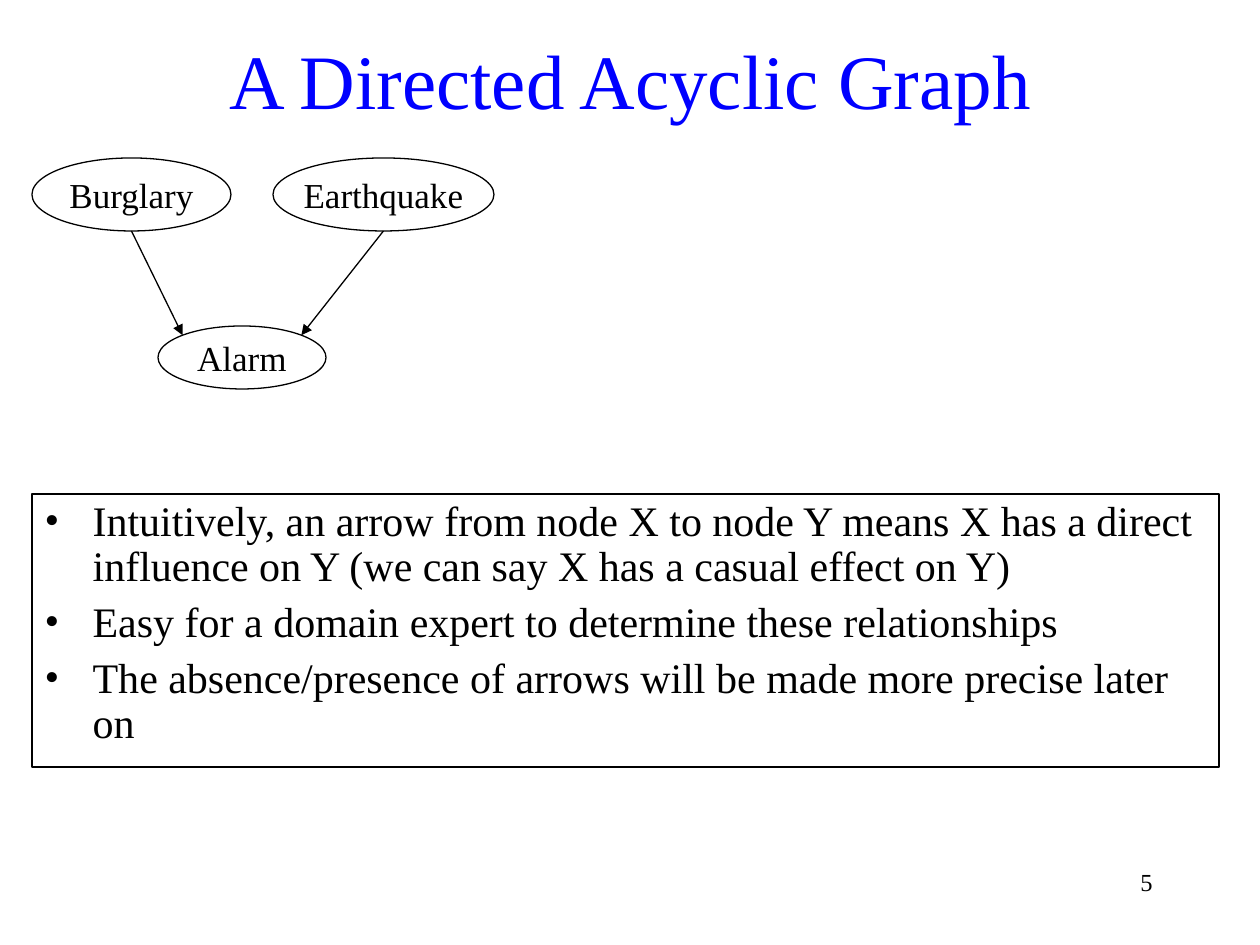
"""Build a slide that explains a directed acyclic graph."""
from math import sqrt

from lxml.etree import SubElement
from pptx import Presentation
from pptx.dml.color import RGBColor
from pptx.enum.shapes import MSO_CONNECTOR, MSO_SHAPE
from pptx.enum.text import MSO_ANCHOR, MSO_AUTO_SIZE, PP_ALIGN
from pptx.oxml.ns import qn
from pptx.util import Pt

TITLE = "A Directed Acyclic Graph"
TITLE_BOX = (95, 21, 1071, 116)
BULLETS = [
    "Intuitively, an arrow from node X to node Y means X has a direct "
    "influence on Y (we can say X has a casual effect on Y)",
    "Easy for a domain expert to determine these relationships",
    "The absence/presence of arrows will be made more precise later on",
]
BODY_BOX = (32, 494, 1187, 273)
NODES = {
    "Alarm": (158, 326, 168, 63),
    "Burglary": (32, 158, 199, 73),
    "Earthquake": (273, 158, 221, 73),
}
EDGES = [("Burglary", "Alarm"), ("Earthquake", "Alarm")]
PAGE_NUMBER = "5"
PAGE_NUMBER_BOX = (1029, 861, 136, 63)

THEME = {
    "font": "Times New Roman",
    "ink": RGBColor(0, 0, 0),
    "title_color": RGBColor(0, 0, 255),
    "title_size": 44,
    "body_size": 24,
    "node_size": 20,
    "number_size": 14,
    "line_width": 0.74,
}
SCALE = 914400 // 126
INDENT = 48


def emu(*pixels):
    return [round(value * SCALE) for value in pixels]


def place(shape, box):
    for name, value in zip(("left", "top", "width", "height"), emu(*box)):
        setattr(shape, name, value)


def outline(shape):
    shape.line.color.rgb = THEME["ink"]
    shape.line.width = Pt(THEME["line_width"])


def write(shape, texts, size, color, frame_format, paragraph_format):
    frame = shape.text_frame
    frame.text = "\n".join(texts)
    for name, value in {"auto_size": MSO_AUTO_SIZE.NONE, **frame_format}.items():
        setattr(frame, name, value)
    for paragraph in frame.paragraphs:
        for name, value in paragraph_format.items():
            setattr(paragraph, name, value)
        for run in paragraph.runs:
            for name, value in {"name": THEME["font"], "size": Pt(size)}.items():
                setattr(run.font, name, value)
            run.font.color.rgb = color


def add_bullet(paragraph):
    properties = paragraph._p.get_or_add_pPr()
    indent = emu(INDENT)[0]
    properties.set("marL", str(indent))
    properties.set("indent", str(-indent))
    color = SubElement(properties, qn("a:buClr"))
    SubElement(color, qn("a:srgbClr"), val=str(THEME["ink"]))
    SubElement(properties, qn("a:buFont"), typeface=THEME["font"])
    SubElement(properties, qn("a:buChar"), char="•")


def add_node(slide, name, box):
    node = slide.shapes.add_shape(MSO_SHAPE.OVAL, *emu(*box))
    node.shadow.inherit = False
    node.fill.background()
    outline(node)
    write(node, [name], THEME["node_size"], THEME["ink"],
          {"word_wrap": False, "vertical_anchor": MSO_ANCHOR.MIDDLE},
          {"alignment": PP_ALIGN.CENTER})


def add_edge(slide, parent, child):
    left, top, width, height = NODES[parent]
    start_x, start_y = left + width / 2, top + height
    left, top, width, height = NODES[child]
    center_x, center_y = left + width / 2, top + height / 2
    side = -1 if start_x < center_x else 1
    end_x = center_x + side * width / 2 / sqrt(2)
    end_y = center_y - height / 2 / sqrt(2)
    arrow = slide.shapes.add_connector(
        MSO_CONNECTOR.STRAIGHT, *emu(start_x, start_y, end_x, end_y))
    outline(arrow)
    SubElement(arrow.line._get_or_add_ln(), qn("a:tailEnd"), type="triangle")
    SubElement(arrow._element.spPr, qn("a:effectLst"))


def main():
    presentation = Presentation()
    presentation.slide_width, presentation.slide_height = emu(1260, 945)
    slide = presentation.slides.add_slide(presentation.slide_layouts[1])

    title, body = slide.placeholders
    place(title, TITLE_BOX)
    write(title, [TITLE], THEME["title_size"], THEME["title_color"],
          {"vertical_anchor": MSO_ANCHOR.MIDDLE},
          {"alignment": PP_ALIGN.CENTER})

    place(body, BODY_BOX)
    outline(body)
    write(body, BULLETS, THEME["body_size"], THEME["ink"],
          {"vertical_anchor": MSO_ANCHOR.TOP},
          {"line_spacing": 0.9, "space_before": Pt(6)})
    for paragraph in body.text_frame.paragraphs:
        add_bullet(paragraph)

    for name, box in NODES.items():
        add_node(slide, name, box)
    for parent, child in EDGES:
        add_edge(slide, parent, child)

    number = slide.shapes.add_textbox(*emu(*PAGE_NUMBER_BOX))
    write(number, [PAGE_NUMBER], THEME["number_size"], THEME["ink"],
          {"word_wrap": True}, {"alignment": PP_ALIGN.RIGHT})

    presentation.save("out.pptx")


main()
